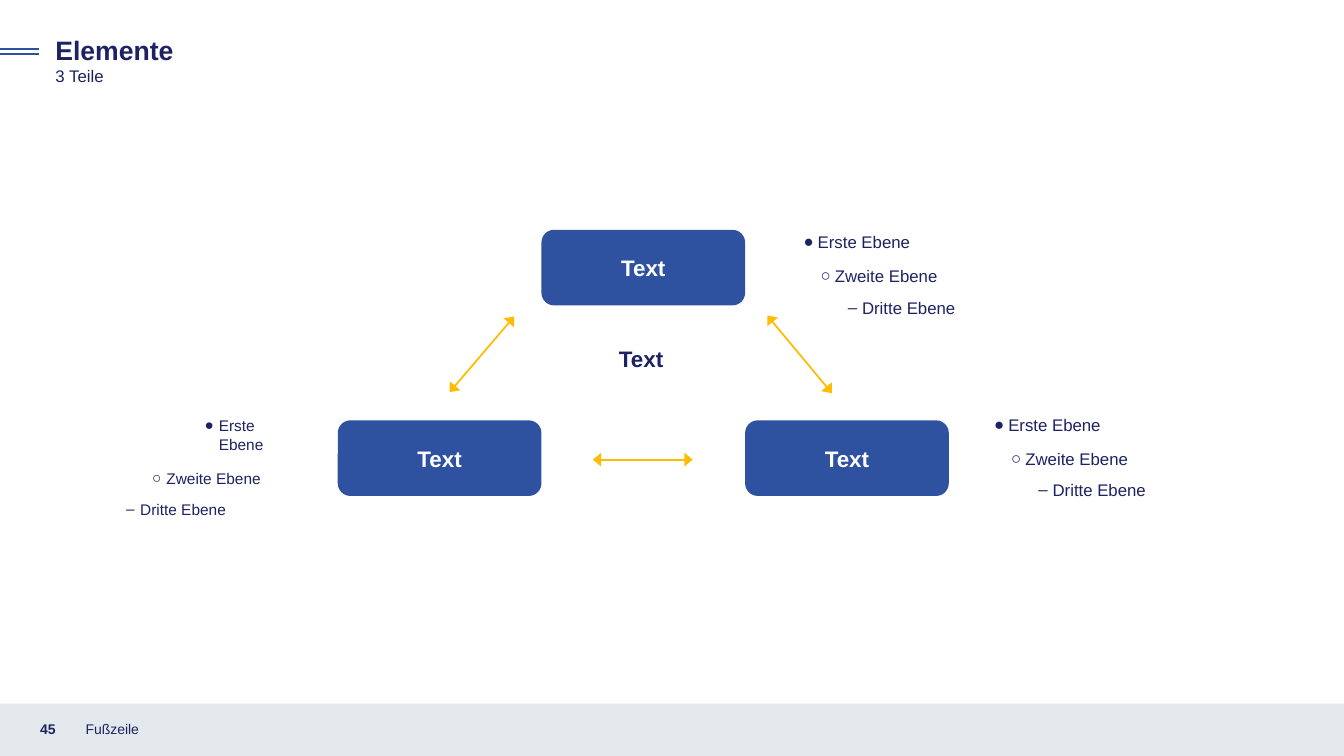
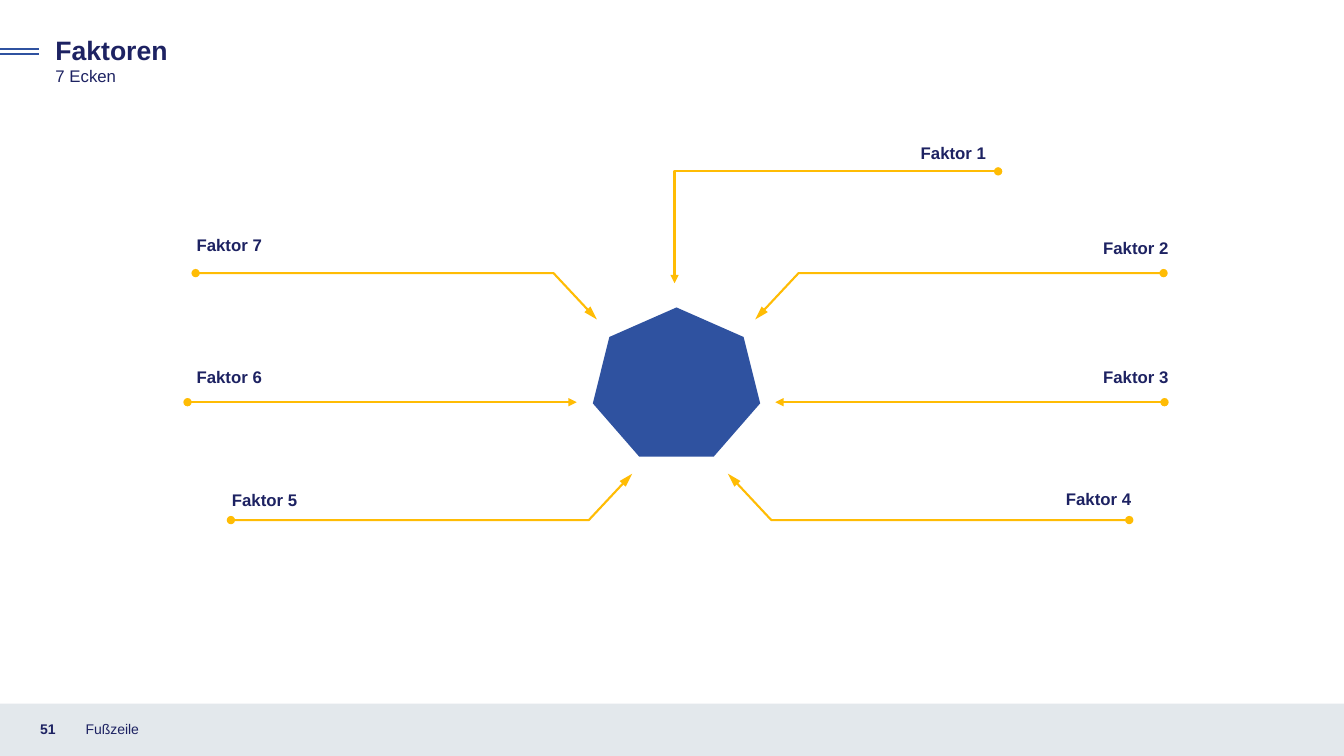
from collections import namedtuple

from lxml import etree
from pptx import Presentation
from pptx.dml.color import RGBColor
from pptx.enum import shapes, text
from pptx.oxml import ns
from pptx.util import Inches, Pt

NAVY, BLUE, GOLD, MIST, WHITE = "1D2262", "2F52A0", "FFBC04", "E3E8EC", "FFFFFF"
FONT = "Arial"
LEFT, CENTER, RIGHT = text.PP_ALIGN.LEFT, text.PP_ALIGN.CENTER, text.PP_ALIGN.RIGHT
TOP, MIDDLE = text.MSO_ANCHOR.TOP, text.MSO_ANCHOR.MIDDLE
LEVELS = [("●", "Erste Ebene"), ("○", "Zweite Ebene"), ("–", "Dritte Ebene")]
HANGING = 0.14

Box = namedtuple("Box", "left top width height")


def color(value):
    """Turn a hex string into a colour."""
    return RGBColor.from_string(value)


def assign(target, formats):
    """Set every attribute named in a dict of format values."""
    for name, value in formats.items():
        setattr(target, name, value)


def inside(box, left, top, width, height):
    """Give a box placed relative to another box."""
    return Box(box.left + left, box.top + top, width, height)


def inches(box):
    """Give the four lengths of a box."""
    return [Inches(value) for value in box]


def add_span(para, wording, size, bold=False, ink=NAVY, align=LEFT):
    """Put one formatted run into a paragraph."""
    para.alignment = align
    span = para.add_run()
    span.text = wording
    assign(span.font, {"name": FONT, "size": Pt(size), "bold": bold})
    span.font.color.rgb = color(ink)


def set_bullet(para, glyph=None, margin=0.0, hanging=0.0):
    """Give a paragraph a bullet glyph, or none, and its indent."""
    props = para._p.get_or_add_pPr()
    props.set("marL", str(Inches(margin + hanging)))
    props.set("indent", str(-Inches(hanging)))
    if glyph is None:
        etree.SubElement(props, ns.qn("a:buNone"))
        return
    ink = etree.SubElement(props, ns.qn("a:buClr"))
    etree.SubElement(ink, ns.qn("a:srgbClr"), val=NAVY)
    etree.SubElement(props, ns.qn("a:buFont"), typeface=FONT)
    etree.SubElement(props, ns.qn("a:buChar"), char=glyph)


def set_frame(frame, anchor=TOP, wrap=True, inset=None):
    """Set anchor, wrapping and insets of a text frame."""
    assign(frame, {"vertical_anchor": anchor, "word_wrap": wrap,
                   "auto_size": text.MSO_AUTO_SIZE.NONE})
    if inset is not None:
        sides = ("left", "top", "right", "bottom")
        assign(frame, {f"margin_{side}": Inches(inset) for side in sides})


def add_label(page, box, wording, size, bold=False, align=LEFT, **frame_format):
    """Add a one-line text box."""
    label = page.shapes.add_textbox(*inches(box))
    set_frame(label.text_frame, **frame_format)
    add_span(label.text_frame.paragraphs[0], wording, size, bold, align=align)


def place(holder, box):
    """Move a placeholder into a box and return its text frame."""
    assign(holder, dict(zip(box._fields, inches(box))))
    set_frame(holder.text_frame)
    return holder.text_frame


def add_block(page, kind, box, fill):
    """Add a filled preset shape without outline or shadow."""
    block = page.shapes.add_shape(kind, *inches(box))
    block.shadow.inherit = False
    block.fill.solid()
    block.fill.fore_color.rgb = color(fill)
    block.line.fill.background()
    return block


def add_route(page, points, ink, weight, head=None, tail=None):
    """Draw a straight or bent line with optional line ends."""
    spots = [(Inches(x), Inches(y)) for x, y in points]
    if len(spots) == 2:
        route = page.shapes.add_connector(shapes.MSO_CONNECTOR.STRAIGHT, *spots[0], *spots[1])
    else:
        builder = page.shapes.build_freeform(*spots[0])
        builder.add_line_segments(spots[1:], close=False)
        route = builder.convert_to_shape()
        route.fill.background()
    route.line.width = Pt(weight)
    route.line.color.rgb = color(ink)
    outline = route.element.spPr.find(ns.qn("a:ln"))
    for tag, end in (("a:headEnd", head), ("a:tailEnd", tail)):
        if end:
            kind, width, length = end
            etree.SubElement(outline, ns.qn(tag), type=kind, w=width, len=length)
    etree.SubElement(route.element.spPr, ns.qn("a:effectLst"))


def add_page(deck, layout, title, subtitle, number):
    """Add a slide with title, subtitle, title rule and footer band."""
    page = deck.slides.add_slide(deck.slide_layouts[layout])
    add_block(page, shapes.MSO_SHAPE.RECTANGLE, Box(0, 6.98, 13.33, 0.52), MIST)
    add_label(page, Box(0.3, 7.03, 0.45, 0.4), number, 10, True, anchor=MIDDLE)
    add_label(page, Box(0.75, 7.03, 4.5, 0.4), "Fußzeile", 10, anchor=MIDDLE)
    headings = [(page.shapes.title, Box(0.45, 0.29, 7.72, 0.42), title, 19, True),
                (page.placeholders[1], Box(0.45, 0.6, 3.46, 0.3), subtitle, 12, False)]
    for holder, box, wording, size, bold in headings:
        para = place(holder, box).paragraphs[0]
        set_bullet(para)
        para.space_before = Pt(0)
        add_span(para, wording, size, bold)
    for height in (0.49, 0.54):
        add_route(page, [(0, height), (0.39, height)], BLUE, 1.5)
    return page


def fill_list(holder, box, size, margins, gaps):
    """Fill a placeholder with the three list levels."""
    frame = place(holder, box)
    for index, (glyph, wording) in enumerate(LEVELS):
        para = frame.add_paragraph() if index else frame.paragraphs[0]
        para.level = index
        set_bullet(para, glyph, margins[index], HANGING)
        assign(para, {"space_before": Pt(gaps[index]), "space_after": Pt(0)})
        add_span(para, wording, size)


def add_triangle(page, box):
    """Draw three cards on a triangle, joined by double arrows."""
    width, height = box.width / 3, 0.75
    bottom = box.height - height
    for left, top in ((width, 0), (2 * width, bottom), (0, bottom)):
        card = add_block(page, shapes.MSO_SHAPE.ROUNDED_RECTANGLE,
                         inside(box, left, top, width, height), BLUE)
        set_frame(card.text_frame, MIDDLE)
        add_span(card.text_frame.paragraphs[0], "Text", 16, True, WHITE, CENTER)
    end = ("triangle", "lg", "med")
    arrows = [((1.75, 0.86), (1.11, 1.61)), ((4.26, 0.85), (4.9, 1.62)),
              ((3.52, 2.28), (2.53, 2.28))]
    for arrow in arrows:
        points = [(box.left + x, box.top + y) for x, y in arrow]
        add_route(page, points, GOLD, 1.25, end, end)
    add_label(page, inside(box, 2.69, 1.1, 0.65, 0.37), "Text", 16, True, wrap=False)


def add_factors(page, box):
    """Draw a heptagon with seven labelled arrows pointing at it."""
    add_block(page, shapes.MSO_SHAPE.HEPTAGON, inside(box, 4.02, 1.63, 1.66, 1.48), BLUE)
    near, far = 0.09, 6.35
    factors = [
        (4.54, 0, RIGHT, [(8.04, 0.28), (4.83, 0.28), (4.83, 1.39)], "med"),
        (far, 0.94, RIGHT, [(9.68, 1.29), (6.06, 1.29), (5.63, 1.75)], "lg"),
        (far, 2.22, RIGHT, [(9.69, 2.57), (5.83, 2.57)], "med"),
        (5.98, 3.43, RIGHT, [(9.34, 3.74), (5.79, 3.74), (5.36, 3.28)], "lg"),
        (0.44, 3.44, LEFT, [(0.43, 3.74), (3.98, 3.74), (4.41, 3.28)], "lg"),
        (near, 2.22, LEFT, [(0, 2.57), (3.86, 2.57)], "med"),
        (near, 0.91, LEFT, [(0.08, 1.29), (3.63, 1.29), (4.06, 1.75)], "lg"),
    ]
    for number, (left, top, align, route, length) in enumerate(factors, 1):
        points = [(box.left + x, box.top + y) for x, y in route]
        add_route(page, points, GOLD, 1.5, ("oval", "med", "med"), ("triangle", "med", length))
        add_label(page, inside(box, left, top, 3.38, 0.2), f"Faktor {number}", 12, True,
                  align, anchor=MIDDLE, inset=0)


def build_elements(deck):
    """Build the slide with three linked elements and their lists."""
    page = add_page(deck, 4, "Elemente", "3 Teile", "45")
    add_triangle(page, Box(3.35, 2.28, 6.06, 2.64))
    inward, outward = (0, 0.17, 0.44), (0.78, 0.26, 0)
    lists = [(2, Box(7.87, 2.25, 1.87, 0.93), 12, inward, (0, 10, 8)),
             (3, Box(9.76, 4.06, 1.87, 0.94), 12, inward, (0, 10, 8)),
             (4, Box(1.15, 4.08, 1.95, 0.93), 11, outward, (0, 11, 9))]
    for index, box, size, margins, gaps in lists:
        fill_list(page.placeholders[index], box, size, margins, gaps)


def build_factors(deck):
    """Build the slide with seven factors around a heptagon."""
    page = add_page(deck, 1, "Faktoren", "7 Ecken", "51")
    add_factors(page, Box(1.86, 1.42, 9.69, 3.74))


def main():
    """Build and save the deck."""
    deck = Presentation()
    assign(deck, {"slide_width": Inches(13.33), "slide_height": Inches(7.5)})
    build_elements(deck)
    build_factors(deck)
    deck.save("out.pptx")


if __name__ == "__main__":
    main()
